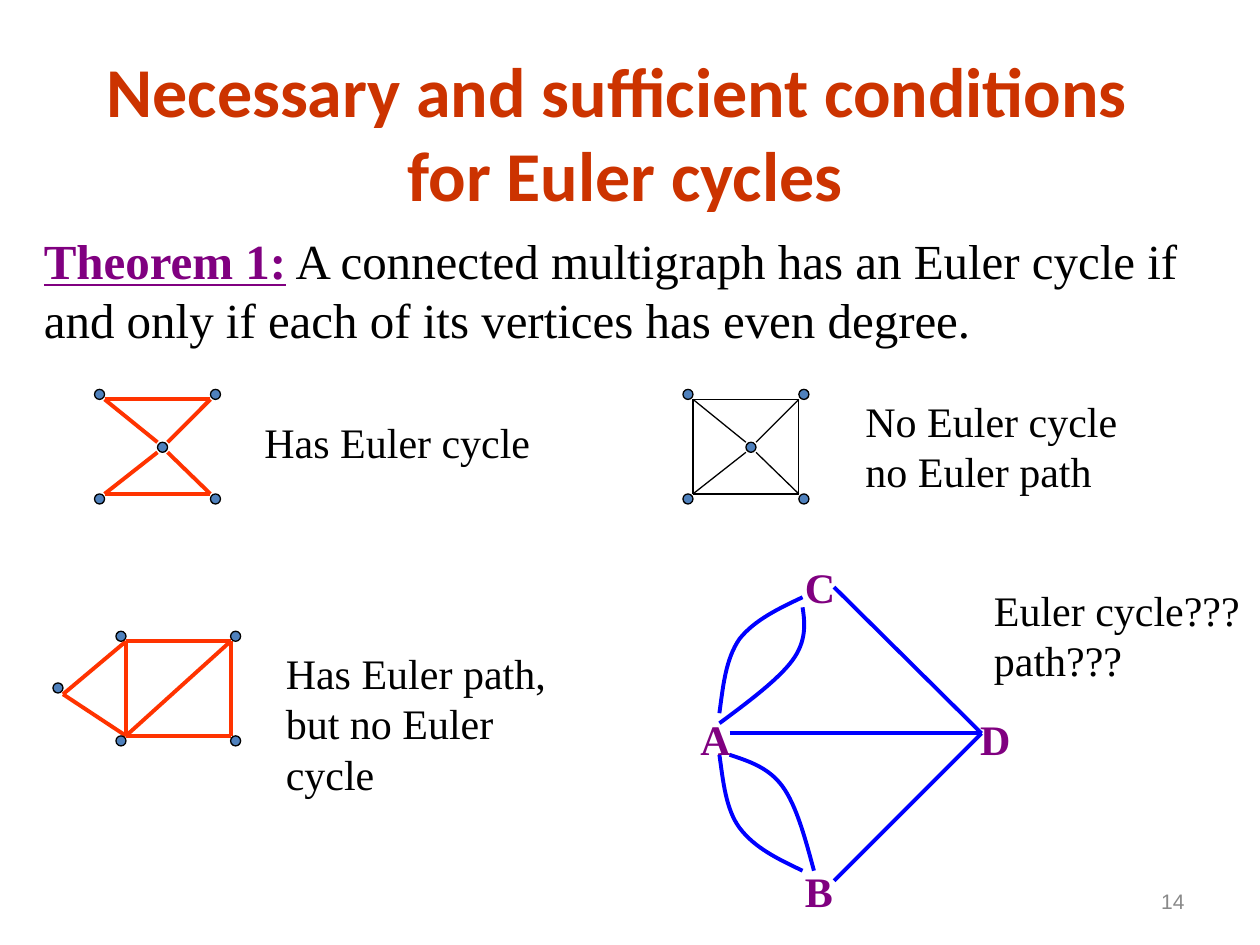
from dataclasses import dataclass

from lxml import etree
from pptx import Presentation
from pptx.dml.color import RGBColor
from pptx.enum import shapes, text
from pptx.oxml import ns
from pptx.util import Inches, Pt

TITLE_RED = RGBColor(0xCC, 0x33, 0x00)
PURPLE = RGBColor(0x80, 0x00, 0x80)
BLACK = RGBColor(0x00, 0x00, 0x00)
BLUE = RGBColor(0x00, 0x00, 0xFF)
ORANGE = RGBColor(0xFF, 0x33, 0x00)
DOT_BLUE = RGBColor(0x4F, 0x81, 0xBD)
GREY = RGBColor(0x89, 0x89, 0x89)
SERIF = "Times New Roman"
DOT = 0.08

Point = tuple[float, float]
Edge = tuple[Point, Point]


@dataclass(frozen=True)
class Graph:
    origin: Point
    vertices: list[Point]
    edges: list[Edge]
    color: RGBColor
    weight: float


@dataclass(frozen=True)
class Label:
    words: str
    left: float
    top: float
    width: float
    height: float
    color: RGBColor = BLACK
    bold: bool = False
    size: float = 24
    font: str = SERIF
    align: text.PP_ALIGN = text.PP_ALIGN.LEFT
    anchor: text.MSO_ANCHOR = text.MSO_ANCHOR.TOP
    wrap: bool = False


def style_run(run, font: str, size: float, color: RGBColor, bold: bool = False) -> None:
    run.font.name = font
    run.font.size = Pt(size)
    run.font.bold = bold
    run.font.color.rgb = color


def draw_label(slide, label: Label):
    box = slide.shapes.add_textbox(
        Inches(label.left), Inches(label.top), Inches(label.width), Inches(label.height))
    frame = box.text_frame
    frame.word_wrap = label.wrap
    frame.vertical_anchor = label.anchor
    frame.text = label.words
    for paragraph in frame.paragraphs:
        paragraph.alignment = label.align
        for run in paragraph.runs:
            style_run(run, label.font, label.size, label.color, label.bold)
    return frame


def draw_edge(slide, edge: Edge, color: RGBColor, weight: float) -> None:
    (x1, y1), (x2, y2) = edge
    line = slide.shapes.add_connector(
        shapes.MSO_CONNECTOR.STRAIGHT, Inches(x1), Inches(y1), Inches(x2), Inches(y2))
    line.line.color.rgb = color
    line.line.width = Pt(weight)
    etree.SubElement(line._element.spPr, ns.qn("a:effectLst"))


def draw_curve(slide, points: list[Point]) -> None:
    start, *controls = [(Inches(x), Inches(y)) for x, y in points]
    builder = slide.shapes.build_freeform(*start)
    builder.add_line_segments(controls, close=False)
    curve = builder.convert_to_shape()
    curve.shadow.inherit = False
    curve.fill.background()
    curve.line.color.rgb = BLUE
    curve.line.width = Pt(2.25)
    outline = next(curve._element.iter(ns.qn("a:path")))
    segments = outline.findall(ns.qn("a:lnTo"))
    for first in range(0, len(segments), 3):
        bezier = etree.SubElement(outline, ns.qn("a:cubicBezTo"))
        for segment in segments[first:first + 3]:
            bezier.append(segment[0])
            outline.remove(segment)


def draw_graph(slide, graph: Graph) -> None:
    left, top = graph.origin
    for (x1, y1), (x2, y2) in graph.edges:
        edge = ((left + x1, top + y1), (left + x2, top + y2))
        draw_edge(slide, edge, graph.color, graph.weight)
    for x, y in graph.vertices:
        dot = slide.shapes.add_shape(
            shapes.MSO_SHAPE.OVAL, Inches(left + x), Inches(top + y), Inches(DOT), Inches(DOT))
        dot.shadow.inherit = False
        dot.fill.solid()
        dot.fill.fore_color.rgb = DOT_BLUE
        dot.line.color.rgb = BLACK
        dot.line.width = Pt(0.75)


NW, NE, SW, SE = (0.08, 0.08), (0.92, 0.08), (0.08, 0.83), (0.92, 0.83)
SQUARE_VERTICES = [(0, 0), (0, 0.83), (0.5, 0.42), (0.92, 0), (0.92, 0.83)]
BOWTIE_EDGES = [
    (NW, NE), (SW, SE), (NW, (0.5, 0.42)), (NE, (0.58, 0.42)),
    (SW, (0.5, 0.5)), (SE, (0.58, 0.5)),
]
TIP, ROOF_NW, ROOF_NE = (0.08, 0.5), (0.58, 0.08), (1.41, 0.08)
ROOF_SW, ROOF_SE = (0.58, 0.83), (1.41, 0.83)

GRAPHS = [
    Graph((0.75, 3.09), SQUARE_VERTICES, BOWTIE_EDGES, ORANGE, 2.25),
    Graph((5.42, 3.09), SQUARE_VERTICES, BOWTIE_EDGES + [(NW, SW), (NE, SE)], BLACK, 0.75),
    Graph(
        (0.42, 5.01),
        [(0.5, 0), (0.5, 0.83), (1.41, 0), (1.41, 0.83), (0, 0.41)],
        [(ROOF_NW, ROOF_NE), (ROOF_SW, ROOF_SE), (ROOF_NW, ROOF_SW), (ROOF_NE, ROOF_SE),
         (ROOF_NE, ROOF_SW), (ROOF_NW, TIP), (TIP, ROOF_SW)],
        ORANGE, 2.25),
]

D_POINT = (7.79, 5.82)
BRIDGES = [((6.62, 4.66), D_POINT), ((5.79, 5.82), D_POINT), (D_POINT, (6.62, 6.99))]
CURVED_BRIDGES = [
    [(5.71, 5.66), (5.74, 5.44), (5.76, 5.23), (5.87, 5.07),
     (5.99, 4.92), (6.18, 4.83), (6.37, 4.74)],
    [(6.37, 4.82), (6.39, 4.95), (6.4, 5.09), (6.29, 5.24),
     (6.18, 5.39), (5.94, 5.57), (5.71, 5.74)],
    [(5.71, 5.99), (5.74, 6.2), (5.76, 6.42), (5.87, 6.57),
     (5.99, 6.73), (6.18, 6.82), (6.37, 6.91)],
    [(5.79, 5.99), (5.94, 6.04), (6.1, 6.09), (6.21, 6.24),
     (6.32, 6.39), (6.39, 6.65), (6.46, 6.91)],
]

LABELS = [
    Label("Has Euler cycle", 2, 3.26, 2.31, 0.5),
    Label("Has Euler path,\nbut no Euler cycle", 2.17, 5.09, 2.63, 0.9),
    Label("No Euler cycle\nno Euler path", 6.77, 3.09, 2.2, 0.9),
    Label("Euler cycle???\npath???", 7.79, 4.59, 2.15, 0.9),
    Label("14", 7.17, 6.95, 2.33, 0.4, GREY, size=12, font="Arial",
          align=text.PP_ALIGN.RIGHT, anchor=text.MSO_ANCHOR.MIDDLE, wrap=True),
] + [
    Label(name, left, top, 0.45, 0.5, PURPLE, bold=True)
    for name, left, top in [("C", 6.29, 4.41), ("A", 5.46, 5.61),
                            ("D", 7.68, 5.61), ("B", 6.29, 6.82)]
]


def draw_title(slide) -> None:
    title = slide.shapes.title
    title.left, title.top = Inches(0.25), Inches(0.42)
    title.width, title.height = Inches(9.42), Inches(1.25)
    frame = title.text_frame
    frame.text = "Necessary and sufficient conditions \vfor Euler cycles"
    frame.auto_size = text.MSO_AUTO_SIZE.NONE
    frame.vertical_anchor = text.MSO_ANCHOR.MIDDLE
    frame.paragraphs[0].alignment = text.PP_ALIGN.CENTER
    for run in frame.paragraphs[0].runs:
        style_run(run, "Calibri", 40, TITLE_RED, bold=True)


def draw_theorem(slide) -> None:
    statement = " A connected multigraph has an Euler cycle if and only if each of its vertices has even degree."
    frame = draw_label(slide, Label(
        "Theorem 1:", 0.25, 1.78, 9.49, 1.04, PURPLE, bold=True, size=28, wrap=True))
    paragraph = frame.paragraphs[0]
    paragraph.runs[0].font.underline = True
    body = paragraph.add_run()
    body.text = statement
    style_run(body, SERIF, 28, BLACK)


def main() -> None:
    deck = Presentation()
    deck.slide_width, deck.slide_height = Inches(10), Inches(7.5)
    slide = deck.slides.add_slide(deck.slide_layouts[5])
    draw_title(slide)
    draw_theorem(slide)
    for bridge in BRIDGES:
        draw_edge(slide, bridge, BLUE, 2.25)
    for points in CURVED_BRIDGES:
        draw_curve(slide, points)
    for graph in GRAPHS:
        draw_graph(slide, graph)
    for label in LABELS:
        draw_label(slide, label)
    deck.save("out.pptx")


if __name__ == "__main__":
    main()
